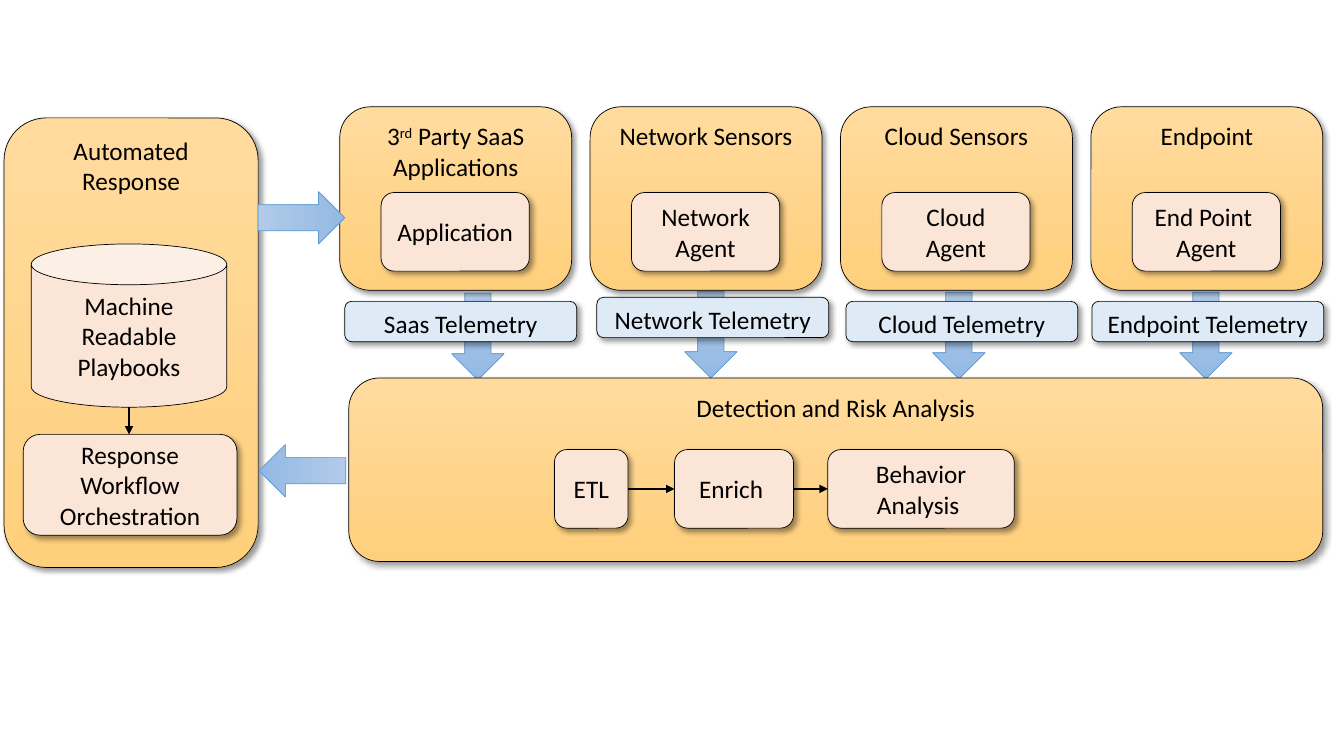
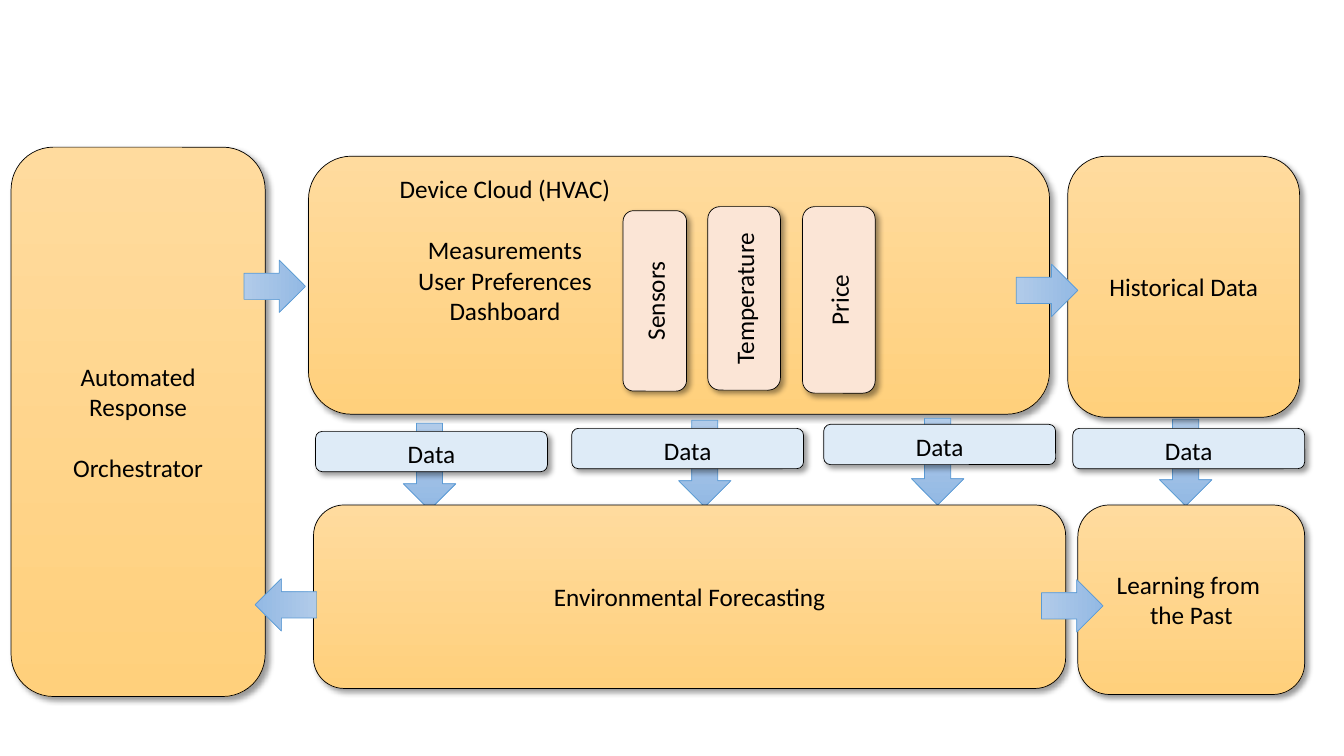
from collections import namedtuple

from lxml.etree import SubElement
from pptx import Presentation
from pptx.dml.color import RGBColor
from pptx.enum.shapes import MSO_CONNECTOR, MSO_SHAPE
from pptx.enum.text import MSO_ANCHOR, PP_ALIGN
from pptx.oxml.ns import qn
from pptx.util import Inches, Pt

COLORS = {
    "panel_top": "FFDB9E",
    "panel_bottom": "FFD07C",
    "arrow_top": "B1CBE9",
    "arrow_bottom": "93B9E4",
    "arrow_line": "5B9BD5",
    "chip": "FBE5D6",
    "label": "DEEBF7",
    "ink": "000000",
}
PANEL_FILL = ("panel_top", "panel_bottom")
ARROW_FILL = ("arrow_top", "arrow_bottom")
ROTATIONS = {"down": 0, "left": 90, "right": 270}
FONT = "Calibri"
FONT_SIZE = 18
BLANK_LINE = 22
LABEL_SIZE = (2.3, 0.4)
DOWN_ARROW_SIZE = (0.52, 0.86)


class Box(namedtuple("Box", "left top width height")):
    """A rectangle in inches."""

    def inner(self, left, top, width, height):
        return Box(self.left + left, self.top + top, width, height)

    def turned(self):
        """The frame that covers this box after a quarter turn."""
        shift = (self.width - self.height) / 2
        return Box(self.left + shift, self.top - shift, self.height, self.width)


def color(name):
    return RGBColor.from_string(COLORS[name])


def paint(shape, fill, line):
    """Fill with one colour, or from top to bottom with a pair."""
    if isinstance(fill, tuple):
        shape.fill.gradient()
        shape.fill.gradient_angle = 270
        for stop, name in zip(shape.fill.gradient_stops, fill):
            stop.color.rgb = color(name)
    else:
        shape.fill.solid()
        shape.fill.fore_color.rgb = color(fill)
    shape.line.color.rgb = color(line)
    shape.line.width = Pt(0.5)


def add_shadow(shape):
    effects = shape._element.spPr.find(qn("a:effectLst"))
    shadow = SubElement(effects, qn("a:outerShdw"), blurRad=str(Pt(4)),
                        dist=str(Pt(3)), dir="2700000", algn="tl", rotWithShape="0")
    shadow_color = SubElement(shadow, qn("a:srgbClr"), val=COLORS["ink"])
    SubElement(shadow_color, qn("a:alpha"), val="40000")


def write_text(shape, text, anchor, gap_before=None):
    """One paragraph a line; parts between carets are superscript."""
    frame = shape.text_frame
    frame.word_wrap = True
    frame.vertical_anchor = anchor
    for index, line in enumerate(text.split("\n")):
        paragraph = frame.paragraphs[0] if index == 0 else frame.add_paragraph()
        paragraph.alignment = PP_ALIGN.CENTER
        paragraph.font.name = FONT
        paragraph.font.size = Pt(FONT_SIZE)
        paragraph.font.color.rgb = color("ink")
        if index == gap_before:
            paragraph.space_before = Pt(BLANK_LINE)
        for part_index, part in enumerate(line.split("^")):
            run = paragraph.add_run()
            run.text = part
            if part_index % 2:
                run._r.get_or_add_rPr().set("baseline", "30000")


def add_preset(slide, preset, box, fill, line="ink", rotation=0):
    frame = box.turned() if rotation else box
    shape = slide.shapes.add_shape(preset, *(Inches(length) for length in frame))
    shape.rotation = rotation
    shape._element.remove(shape._element.find(qn("p:style")))
    paint(shape, fill, line)
    shape.shadow.inherit = False
    return shape


def add_rounded(slide, box, text, fill, anchor=MSO_ANCHOR.MIDDLE,
                gap_before=None, rotation=0):
    shape = add_preset(slide, MSO_SHAPE.ROUNDED_RECTANGLE, box, fill,
                       rotation=rotation)
    add_shadow(shape)
    write_text(shape, text, anchor, gap_before)
    return shape


def add_block_arrow(slide, box, direction):
    add_preset(slide, MSO_SHAPE.DOWN_ARROW, box, ARROW_FILL, "arrow_line",
               ROTATIONS[direction])


def add_thin_arrow(slide, *ends):
    connector = slide.shapes.add_connector(
        MSO_CONNECTOR.STRAIGHT, *(Inches(length) for length in ends))
    connector.line.color.rgb = color("ink")
    connector.line.width = Pt(1)
    SubElement(connector.line._get_or_add_ln(), qn("a:tailEnd"), type="triangle")
    SubElement(connector._element.spPr, qn("a:effectLst"))


def add_data_flows(slide, band, flows):
    """Down arrows, each crossed by a label; offsets are from the band."""
    for text, label_left, label_top, arrow_left, arrow_top in flows:
        add_block_arrow(slide, band.inner(arrow_left, arrow_top, *DOWN_ARROW_SIZE),
                        "down")
        add_rounded(slide, band.inner(label_left, label_top, *LABEL_SIZE),
                    text, "label", MSO_ANCHOR.TOP)


def add_sensor_cards(slide, row, cards):
    width = 2.3
    pitch = (row.width - width) / (len(cards) - 1)
    for index, (title, agent) in enumerate(cards):
        card = row.inner(index * pitch, 0, width, row.height)
        add_rounded(slide, card, title, PANEL_FILL, MSO_ANCHOR.TOP)
        add_rounded(slide, card.inner(0.41, 0.85, 1.47, 0.78), agent, "chip")


def add_detection(slide, box):
    add_rounded(slide, box, "Detection and Risk Analysis", PANEL_FILL, MSO_ANCHOR.TOP)
    steps = [("ETL", 2.04, 0.73), ("Enrich ", 3.23, 1.18),
             ("Behavior\nAnalysis ", 4.75, 1.85)]
    previous_right = None
    for text, left, width in steps:
        step = box.inner(left, 0.71, width, 0.78)
        add_rounded(slide, step, text, "chip")
        if previous_right is not None:
            middle = step.top + step.height / 2
            add_thin_arrow(slide, previous_right, middle, step.left, middle)
        previous_right = step.left + step.width


def add_response(slide, box):
    add_rounded(slide, box, "Automated Response", PANEL_FILL, MSO_ANCHOR.TOP)
    playbooks = box.inner(0.27, 1.25, 1.94, 1.62)
    can = add_preset(slide, MSO_SHAPE.CAN, playbooks, "chip")
    write_text(can, "Machine Readable Playbooks", MSO_ANCHOR.MIDDLE)
    workflow = box.inner(0.19, 3.14, 2.12, 1)
    add_rounded(slide, workflow, "Response Workflow\nOrchestration", "chip")
    center = playbooks.left + playbooks.width / 2
    add_thin_arrow(slide, center, playbooks.top + playbooks.height,
                   center, workflow.top)


def add_device_cloud(slide, box):
    panel = add_rounded(
        slide, box,
        "Device Cloud (HVAC)\nMeasurements\nUser Preferences\nDashboard",
        PANEL_FILL, MSO_ANCHOR.TOP, gap_before=1)
    panel.text_frame._txBody.bodyPr.set("numCol", "2")
    for text, *place in [("Sensors", 3.12, 0.54, 0.63, 1.79),
                         ("Temperature", 3.96, 0.5, 0.72, 1.82),
                         ("Price", 4.9, 0.5, 0.72, 1.85)]:
        add_rounded(slide, box.inner(*place), text, "chip", rotation=270)


def build_security_slide(slide):
    add_data_flows(slide, Box(3.42, 2.89, 9.71, 0.88), [
        ("Saas Telemetry", 0, 0.1, 1.06, 0.02),
        ("Network Telemetry", 2.5, 0.06, 3.37, 0),
        ("Cloud Telemetry", 4.97, 0.1, 5.83, 0.01),
        ("Endpoint Telemetry", 7.41, 0.1, 8.28, 0.01),
    ])
    add_sensor_cards(slide, Box(3.37, 1.06, 9.75, 1.82), [
        ("3^rd^ Party SaaS Applications", "Application"),
        ("Network Sensors", "Network\nAgent"),
        ("Cloud Sensors", "Cloud\nAgent"),
        ("Endpoint", "End Point \nAgent"),
    ])
    add_detection(slide, Box(3.46, 3.75, 9.66, 1.82))
    add_response(slide, Box(0.04, 1.17, 2.52, 4.46))
    add_block_arrow(slide, Box(2.56, 1.9, 0.86, 0.52), "right")
    add_block_arrow(slide, Box(2.57, 4.41, 0.86, 0.52), "left")


def build_forecasting_slide(slide):
    add_device_cloud(slide, Box(3.06, 1.55, 7.35, 2.56))
    add_data_flows(slide, Box(3.13, 4.15, 9.81, 0.91), [
        ("Data", 0, 0.13, 0.87, 0.05),
        ("Data", 2.54, 0.1, 3.6, 0.02),
        ("Data", 5.04, 0.06, 5.91, 0),
        ("Data", 7.51, 0.1, 8.37, 0.01),
    ])
    add_rounded(slide, Box(0.11, 1.46, 2.52, 5.45),
                "Automated Response\nOrchestrator", PANEL_FILL, gap_before=1)
    for text, box in [
        ("Environmental Forecasting", Box(3.11, 5.01, 7.46, 1.82)),
        ("Historical Data", Box(10.59, 1.55, 2.3, 2.59)),
        ("Learning from \nthe Past", Box(10.69, 5.01, 2.25, 1.88)),
    ]:
        add_rounded(slide, box, text, PANEL_FILL)
    for left, top, direction in [(2.42, 2.58, "right"), (2.53, 5.74, "left"),
                                 (10.33, 5.75, "right"), (10.08, 2.62, "right")]:
        add_block_arrow(slide, Box(left, top, 0.61, 0.52), direction)


def main():
    presentation = Presentation()
    presentation.slide_width = Inches(13.33)
    presentation.slide_height = Inches(7.5)
    blank_layout = presentation.slide_layouts[6]
    for build in (build_security_slide, build_forecasting_slide):
        build(presentation.slides.add_slide(blank_layout))
    presentation.save("out.pptx")


if __name__ == "__main__":
    main()
